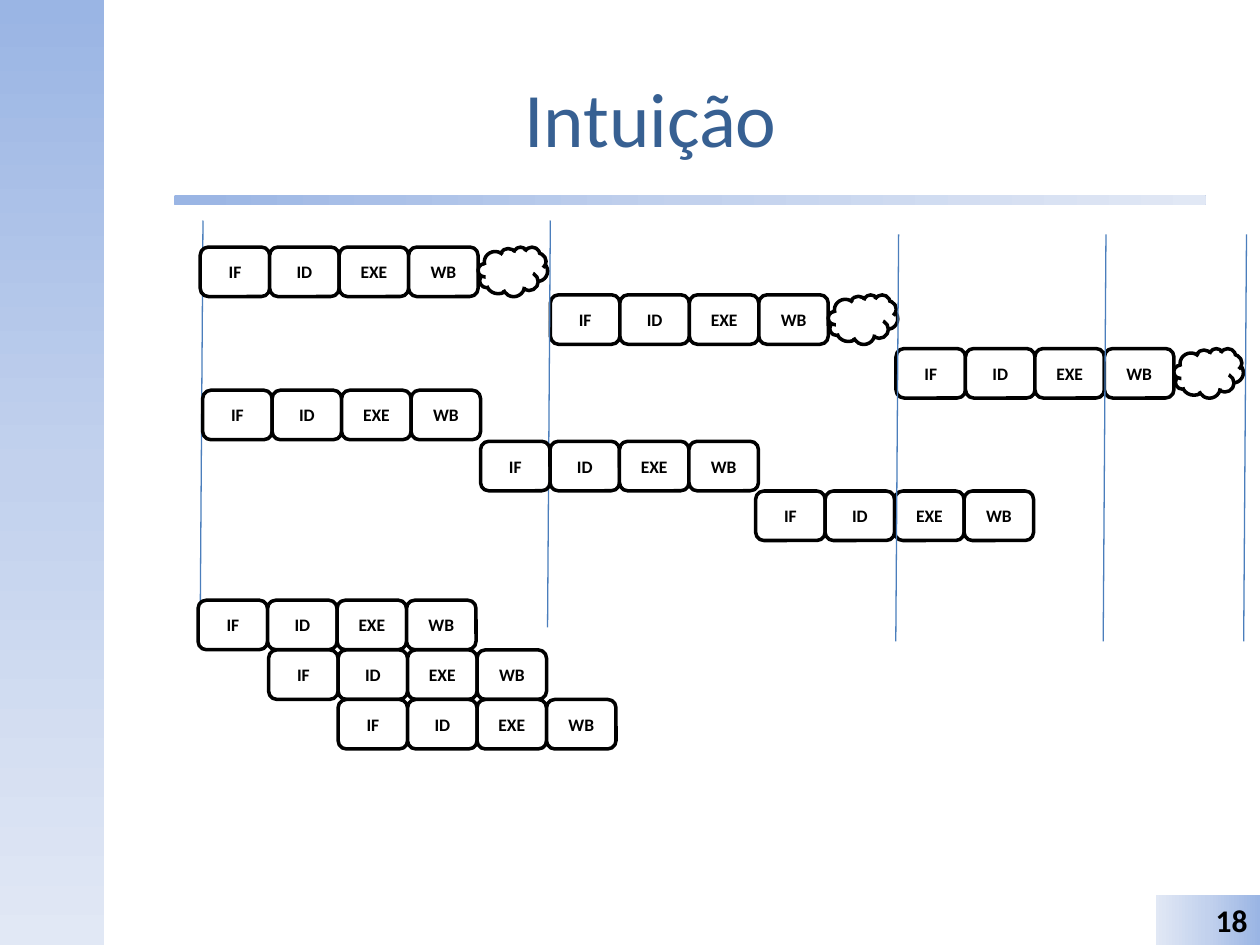
from copy import deepcopy
from lxml import etree
from pptx import Presentation
from pptx.dml.color import RGBColor
from pptx.enum import shapes as kinds, text as layout
from pptx.oxml import ns
from pptx.util import Pt

COLORS = {"title": "376092", "ink": "000000", "paper": "FFFFFF", "cycle": "4B7EBC",
          "deep": "9AB5E4", "middle": "C2D1ED", "pale": "E1E8F5"}
RGB = {part: RGBColor.from_string(value) for part, value in COLORS.items()}
FORM = kinds.MSO_SHAPE

deck = Presentation()
deck.slide_width, deck.slide_height = Pt(720), Pt(540)
slide = deck.slides.add_slide(deck.slide_layouts[5])


def add_form(form, left, top, width, height):
    part = slide.shapes.add_shape(form, Pt(left), Pt(top), Pt(width), Pt(height))
    part.shadow.inherit = False
    return part


def write(part, words, size, color, align, anchor, bold=False):
    frame = part.text_frame
    frame.text = words
    frame.vertical_anchor = anchor
    paragraph = frame.paragraphs[0]
    paragraph.alignment = align
    for key, value in {"name": "Calibri", "size": Pt(size), "bold": bold}.items():
        setattr(paragraph.font, key, value)
    paragraph.font.color.rgb = RGB[color]


bands = [
    (FORM.RECTANGLE, 0, 0, 59.5, 540, 270),
    (FORM.ROUNDED_RECTANGLE, 99.4, 111.5, 589.5, 5.8, 0),
    (FORM.RECTANGLE, 660.5, 511.2, 59.5, 28.8, 180),
]
for form, left, top, width, height, angle in bands:
    band = add_form(form, left, top, width, height)
    band.line.fill.background()
    band.fill.gradient()
    band.fill.gradient_angle = angle
    first, last = band.fill.gradient_stops
    first.color.rgb, last.color.rgb = RGB["deep"], RGB["pale"]
    stops = band.element.spPr.find(".//" + ns.qn("a:gsLst"))
    half = deepcopy(stops[0])
    half.set("pos", "50000")
    half[0].set("val", COLORS["middle"])
    stops.insert(1, half)
page_number = band
write(page_number, "18", 18, "ink", layout.PP_ALIGN.RIGHT, layout.MSO_ANCHOR.TOP, True)

title = slide.shapes.title
for key, value in {"left": 59.5, "top": 21.6, "width": 624.5, "height": 90}.items():
    setattr(title, key, Pt(value))
write(title, "Intuição", 44, "title", layout.PP_ALIGN.CENTER, layout.MSO_ANCHOR.MIDDLE)

STAGES = ["IF", "ID", "EXE", "WB"]
STAGE_WIDTH, STAGE_HEIGHT = 39.7, 28.3
instructions_behind = [(314.5, 168.5, True), (512, 199.2, True), (431.8, 280.6, False)]
instructions_front = [
    (114.4, 141.2, True), (115.8, 223, False), (274.6, 252.2, False),
    (113.2, 343, False), (153.5, 371.4, False), (193.2, 399.7, False),
]
cycle_marks = [(116, 126), (314.5, 126), (513.5, 134), (712.3, 134), (632, 134)]

for instructions, marks in [(instructions_behind, cycle_marks), (instructions_front, [])]:
    for left, top, has_idle_time in instructions:
        for step, stage in enumerate(STAGES + [""] * has_idle_time):
            form = FORM.ROUNDED_RECTANGLE if stage else FORM.CLOUD
            block = add_form(form, left + step * STAGE_WIDTH, top, STAGE_WIDTH, STAGE_HEIGHT)
            block.fill.solid()
            block.fill.fore_color.rgb = RGB["paper"]
            block.line.color.rgb = RGB["ink"]
            block.line.width = Pt(2)
            if stage:
                for side in ("left", "right", "top", "bottom"):
                    setattr(block.text_frame, "margin_" + side, Pt(0))
                write(block, stage, 10, "ink", layout.PP_ALIGN.CENTER,
                      layout.MSO_ANCHOR.MIDDLE, True)
    for x, top in marks:
        mark = slide.shapes.add_connector(kinds.MSO_CONNECTOR.STRAIGHT,
                                          Pt(x), Pt(top), Pt(x - 1.6), Pt(top + 232.5))
        mark.line.color.rgb = RGB["cycle"]
        mark.line.width = Pt(0.75)
        etree.SubElement(mark.element.spPr, ns.qn("a:effectLst"))

deck.save("out.pptx")
